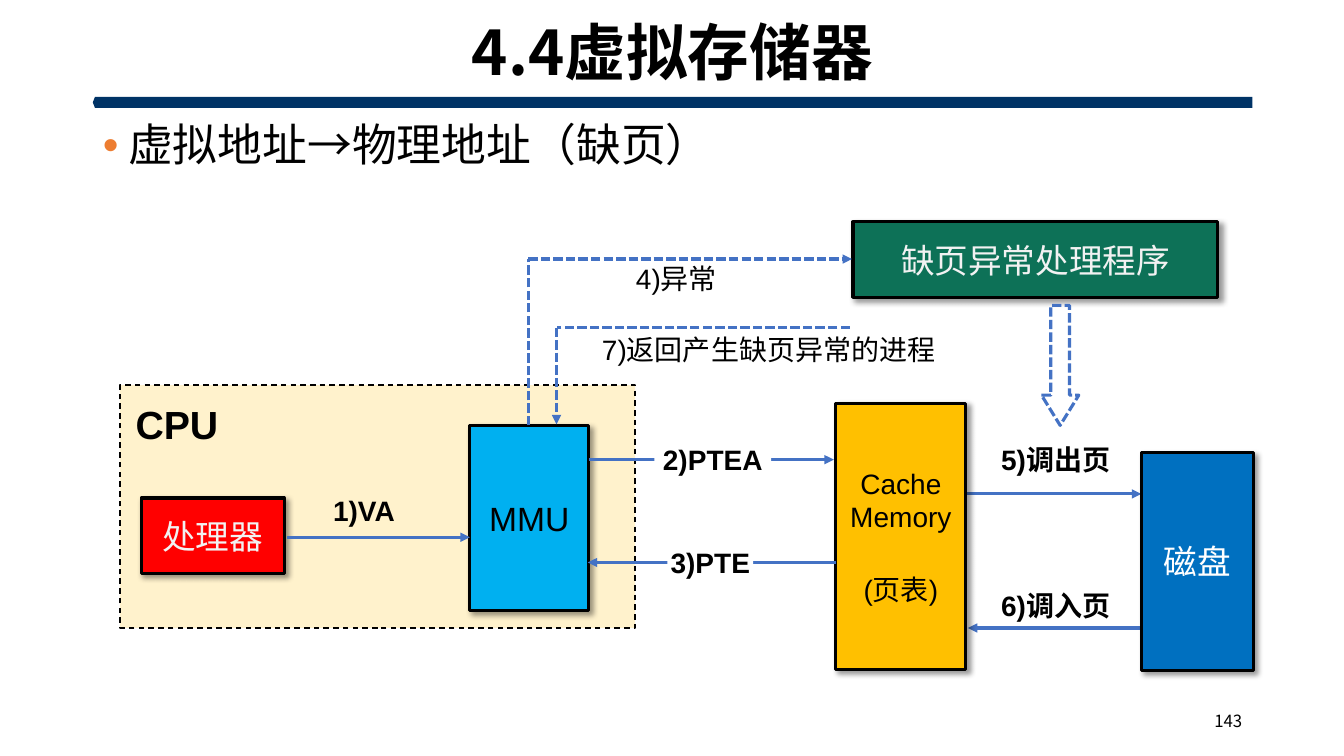
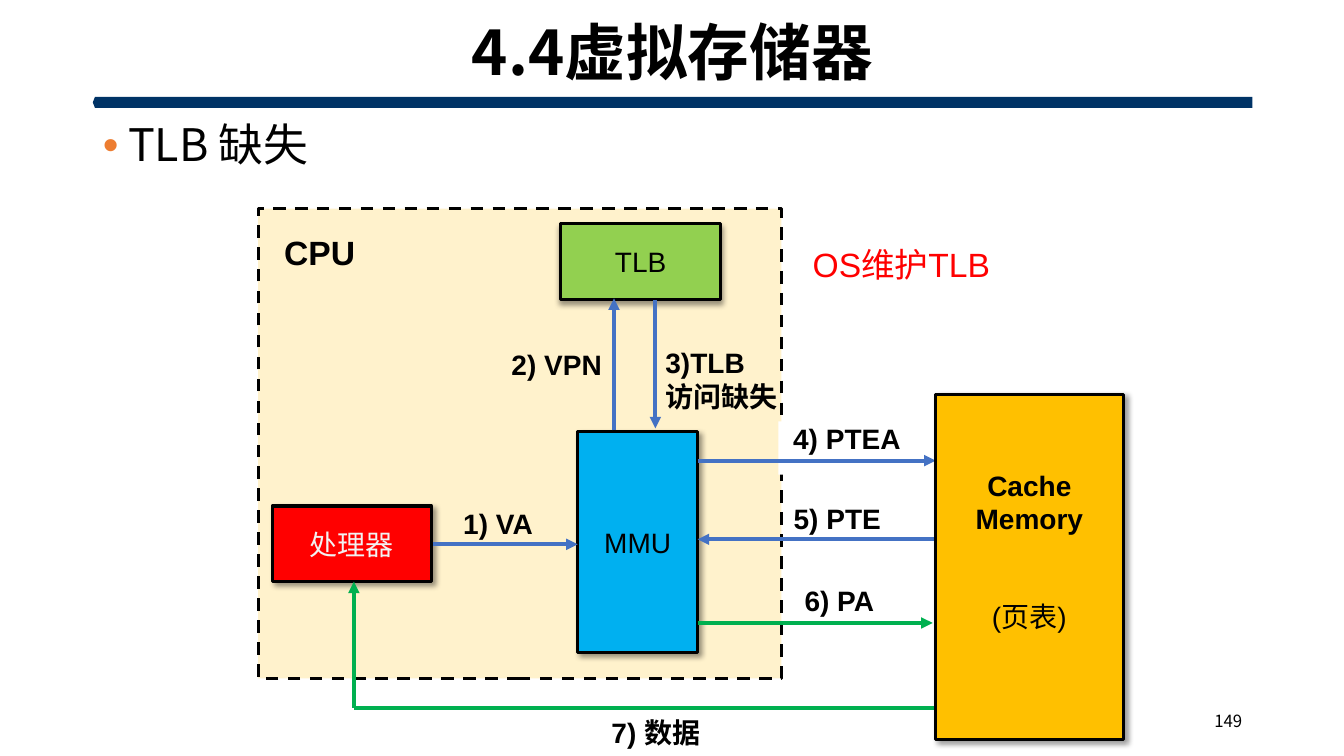
from dataclasses import dataclass
from itertools import pairwise
from typing import Union

from lxml import etree
from pptx import Presentation
from pptx.dml.color import RGBColor
from pptx.enum.dml import MSO_LINE
from pptx.enum.shapes import MSO_CONNECTOR, MSO_SHAPE
from pptx.enum.text import MSO_ANCHOR, MSO_AUTO_SIZE, PP_ALIGN
from pptx.oxml.ns import qn
from pptx.util import Inches, Pt

MID, TOP = MSO_ANCHOR.MIDDLE, MSO_ANCHOR.TOP
LEFT, MIDDLE, RIGHT = PP_ALIGN.LEFT, PP_ALIGN.CENTER, PP_ALIGN.RIGHT
EVEN = PP_ALIGN.JUSTIFY
DASH, DOTS = MSO_LINE.DASH, MSO_LINE.SQUARE_DOT
RECT, PLATE, DOWN = MSO_SHAPE.RECTANGLE, MSO_SHAPE.PENTAGON, MSO_SHAPE.DOWN_ARROW

Rect = tuple[float, float, float, float]


# Theme: colours, fonts and type sizes
@dataclass(frozen=True)
class Theme:
    ink: str = "000000"
    paper: str = "FFFFFF"
    pale: str = "F2F2F2"
    band: str = "003366"
    dot: str = "ED7D31"
    cream: str = "FFF2CC"
    sky: str = "00B0F0"
    red: str = "FF0000"
    blue: str = "0070C0"
    gold: str = "FFC000"
    teal: str = "0D7157"
    lime: str = "92D050"
    wire: str = "4472C4"
    green: str = "00B050"
    sans: str = "Arial"
    cjk: str = "Noto Sans CJK SC"
    title: int = 44
    body: int = 32
    big: int = 28
    mid: int = 24
    small: int = 20
    page: int = 12


T = Theme()


# Parts of a diagram
@dataclass(frozen=True)
class Frame:
    rect: Rect
    width: float


@dataclass(frozen=True)
class Box:
    rect: Rect
    text: str
    fill: str
    size: int = T.small
    ink: str = T.ink
    bold: bool = False
    note: str = ""
    gap: float = 0
    foot: float = 0
    angle: int = 45


@dataclass(frozen=True)
class Label:
    rect: Rect
    text: str
    size: int = T.small
    ink: str = T.ink
    bold: bool = True
    align: PP_ALIGN = MIDDLE
    fill: str = ""


@dataclass(frozen=True)
class Arrow:
    points: tuple[tuple[float, float], ...]
    color: str = T.wire
    width: float = 2.25
    dash: bool = False


@dataclass(frozen=True)
class Block:
    rect: Rect


Part = Union[Frame, Box, Label, Arrow, Block]


def rgb(code: str) -> RGBColor:
    return RGBColor.from_string(code)


def place(rect: Rect) -> list[int]:
    return [Inches(v) for v in rect]


def style(para, size: int, face: str = T.sans, ink: str = T.ink,
          bold: bool = False, align: PP_ALIGN = MIDDLE) -> None:
    para.alignment = align
    font = para.font
    font.size, font.name, font.bold = Pt(size), face, bold
    font.color.rgb = rgb(ink)
    east = etree.SubElement(para._p.pPr.find(qn("a:defRPr")), qn("a:ea"))
    east.set("typeface", T.cjk)


def setup(frame, anchor: MSO_ANCHOR, foot: float = 0) -> None:
    frame.word_wrap = True
    frame.auto_size = MSO_AUTO_SIZE.NONE
    frame.vertical_anchor = anchor
    frame.margin_left = frame.margin_right = frame.margin_top = 0
    frame.margin_bottom = Inches(foot)


def lines(frame, text: str) -> list:
    rows = text.split("\n")
    paras = [frame.paragraphs[0]] + [frame.add_paragraph() for _ in rows[1:]]
    for para, row in zip(paras, rows):
        para.add_run().text = row
    return paras


def shape(slide, kind: MSO_SHAPE, rect: Rect, fill: str = "",
          line: str = "", width: float = 0):
    item = slide.shapes.add_shape(kind, *place(rect))
    item.shadow.inherit = False
    if fill:
        item.fill.solid()
        item.fill.fore_color.rgb = rgb(fill)
    else:
        item.fill.background()
    if line:
        item.line.color.rgb = rgb(line)
        item.line.width = Pt(width)
    else:
        item.line.fill.background()
    return item


def shade(item, angle: int) -> None:
    effects = item._element.spPr.find(qn("a:effectLst"))
    outer = etree.SubElement(effects, qn("a:outerShdw"), blurRad=str(Pt(4)),
                             dist=str(Pt(3)), dir=str(angle * 60000))
    color = etree.SubElement(outer, qn("a:srgbClr"), val=T.ink)
    etree.SubElement(color, qn("a:alpha"), val="40000")


# Drawing of each kind of part
def draw_frame(slide, part: Frame) -> None:
    shape(slide, RECT, part.rect, T.cream, T.ink, part.width).line.dash_style = DASH


def draw_box(slide, part: Box) -> None:
    item = shape(slide, RECT, part.rect, part.fill, T.ink, 2.25)
    shade(item, part.angle)
    setup(item.text_frame, MID, part.foot)
    for para in lines(item.text_frame, part.text):
        style(para, part.size, ink=part.ink, bold=part.bold)
    if part.note:
        para = item.text_frame.add_paragraph()
        para.add_run().text = part.note
        para.space_before = Pt(part.gap)
        style(para, part.size, ink=part.ink)


def draw_label(slide, part: Label) -> None:
    item = slide.shapes.add_textbox(*place(part.rect))
    if part.fill:
        item.fill.solid()
        item.fill.fore_color.rgb = rgb(part.fill)
    setup(item.text_frame, TOP)
    for para in lines(item.text_frame, part.text):
        style(para, part.size, ink=part.ink, bold=part.bold, align=part.align)


def draw_arrow(slide, part: Arrow) -> None:
    for start, end in pairwise(part.points):
        link = slide.shapes.add_connector(MSO_CONNECTOR.STRAIGHT, *place(start + end))
        link.line.color.rgb = rgb(part.color)
        link.line.width = Pt(part.width)
        if part.dash:
            link.line.dash_style = DOTS
        etree.SubElement(link._element.spPr, qn("a:effectLst"))
    # Only the last leg has a head
    etree.SubElement(link.line._get_or_add_ln(), qn("a:tailEnd"), type="triangle")


def draw_block(slide, part: Block) -> None:
    item = shape(slide, DOWN, part.rect, line=T.wire, width=2.25)
    item.line.dash_style = DOTS
    item.adjustments[0], item.adjustments[1] = 0.5, 0.81


DRAW = {Frame: draw_frame, Box: draw_box, Label: draw_label,
        Arrow: draw_arrow, Block: draw_block}


# Title, band, bullet and page number shared by the slides
def build(deck, point: str, page: int, parts: list[Part]) -> None:
    slide = deck.slides.add_slide(deck.slide_layouts[1])
    band = shape(slide, PLATE, (0.92, 0.96, 11.5, 0.11), T.band)
    band.adjustments[0] = 0.2
    band.rotation = 180

    head, body = slide.shapes.title, slide.placeholders[1]
    for item, rect, text, anchor in (
            (head, (0.92, 0.14, 11.5, 0.82), "4.4虚拟存储器", MID),
            (body, (0.92, 1.17, 11.5, 5.33), point, TOP)):
        item.left, item.top, item.width, item.height = place(rect)
        frame = item.text_frame
        frame.auto_size, frame.vertical_anchor = MSO_AUTO_SIZE.NONE, anchor
        para = lines(frame, text)[0]
        para.line_spacing, para.space_before = 0.9, Pt(0)
    style(head.text_frame.paragraphs[0], T.title, T.cjk, bold=True)

    para = body.text_frame.paragraphs[0]
    props = para._p.get_or_add_pPr()
    props.set("marL", str(Inches(0.25)))
    props.set("indent", str(Inches(-0.25)))
    color = etree.SubElement(props, qn("a:buClr"))
    etree.SubElement(color, qn("a:srgbClr"), val=T.dot)
    etree.SubElement(props, qn("a:buFont"), typeface=T.sans)
    etree.SubElement(props, qn("a:buChar"), char="•")
    style(para, T.body, T.cjk, align=LEFT)

    for part in parts:
        DRAW[type(part)](slide, part)

    num = slide.shapes.add_textbox(*place((9.42, 6.95, 3, 0.4))).text_frame
    num.word_wrap, num.vertical_anchor = True, MID
    style(lines(num, str(page))[0], T.page, T.cjk, align=RIGHT)


# Page fault
FAULT: list[Part] = [
    Label((9.7, 4.39, 1.54, 0.4), "5)调出页"),
    Arrow(((9.58, 4.9), (11.32, 4.9))),
    Label((9.7, 5.84, 1.54, 0.4), "6)调入页"),
    Arrow(((11.34, 6.23), (9.6, 6.23))),
    Frame((1.19, 3.82, 5.11, 2.41), 1),
    Box((4.66, 4.22, 1.18, 1.84), "MMU", T.sky, T.mid),
    Box((1.4, 4.94, 1.42, 0.75), "处理器", T.red, T.mid, T.pale),
    Label((1.03, 3.97, 1.45, 0.43), "CPU", T.big),
    Box((11.32, 4.49, 1.11, 2.16), "磁盘", T.blue, T.mid, T.paper),
    Box((8.29, 4, 1.29, 2.64), "Cache\nMemory", T.gold, note="(页表)", gap=28),
    Box((8.46, 2.2, 3.62, 0.75), "缺页异常处理程序", T.teal, T.mid, T.pale),
    Label((6.24, 2.59, 0.94, 0.4), "4)异常", bold=False, fill=T.paper),
    Arrow(((5.24, 4.22), (5.24, 2.57), (8.45, 2.57)), dash=True),
    Block((10.33, 3.03, 0.37, 1.19)),
    Label((3.14, 4.9, 0.94, 0.57), "1)VA"),
    Arrow(((2.85, 5.33), (4.66, 5.33))),
    Label((5.97, 3.3, 3.95, 0.42), "7)返回产生缺页异常的进程", bold=False,
          align=EVEN, fill=T.paper),
    Arrow(((8.43, 3.25), (5.52, 3.25), (5.52, 4.21)), dash=True),
    Arrow(((5.84, 4.56), (8.27, 4.56))),
    Label((6.49, 4.39, 1.16, 0.4), "2)PTEA", fill=T.paper),
    Arrow(((8.29, 5.58), (5.83, 5.58))),
    Label((6.62, 5.41, 0.85, 0.4), "3)PTE", fill=T.paper),
]

# TLB miss
BOLD = 2.75
MISS: list[Part] = [
    Frame((2.56, 2.07, 5.19, 4.66), 2.25),
    Box((5.56, 2.22, 1.59, 0.75), "TLB", T.lime, angle=90),
    Label((2.7, 2.3, 0.94, 0.48), "CPU", T.mid),
    Box((2.7, 5.02, 1.58, 0.75), "处理器", T.red, ink=T.pale),
    Box((5.73, 4.28, 1.19, 2.19), "MMU", T.sky),
    Label((4.44, 5.02, 1, 0.46), "1) VA"),
    Arrow(((4.29, 5.4), (5.73, 5.4)), width=BOLD),
    Arrow(((6.09, 4.27), (6.09, 2.96)), width=BOLD),
    Label((4.43, 3.45, 1.54, 0.46), "2) VPN", align=RIGHT),
    Arrow(((6.5, 2.98), (6.5, 4.25)), width=BOLD),
    Label((6.6, 3.43, 1.33, 0.48), "3)TLB\n访问缺失", align=EVEN),
    Label((7.72, 4.18, 1.36, 0.53), "4) PTEA", fill=T.paper),
    Arrow(((6.92, 4.57), (9.28, 4.57)), width=BOLD),
    Label((5.76, 7.1, 1.49, 0.4), "7) 数据"),
    Arrow(((9.28, 7.02), (3.51, 7.02), (3.51, 5.77)), T.green, BOLD),
    Label((8.06, 2.42, 2.69, 0.4), "OS维护TLB", T.mid, T.red, False, LEFT),
    Label((7.66, 5.79, 1.33, 0.53), "6) PA"),
    Arrow(((6.92, 6.18), (9.25, 6.18)), T.green, BOLD),
    Label((7.64, 4.98, 1.33, 0.53), "5) PTE"),
    Arrow(((9.28, 5.35), (6.92, 5.35)), width=BOLD),
    Box((9.28, 3.91, 1.86, 3.43), "Cache\nMemory", T.gold, bold=True,
        note="(页表)", gap=46, foot=0.32),
]


def main() -> None:
    deck = Presentation()
    deck.slide_width, deck.slide_height = Inches(13.33), Inches(7.5)
    build(deck, "虚拟地址→物理地址（缺页）", 143, FAULT)
    build(deck, "TLB 缺失", 149, MISS)
    deck.save("out.pptx")


if __name__ == "__main__":
    main()
